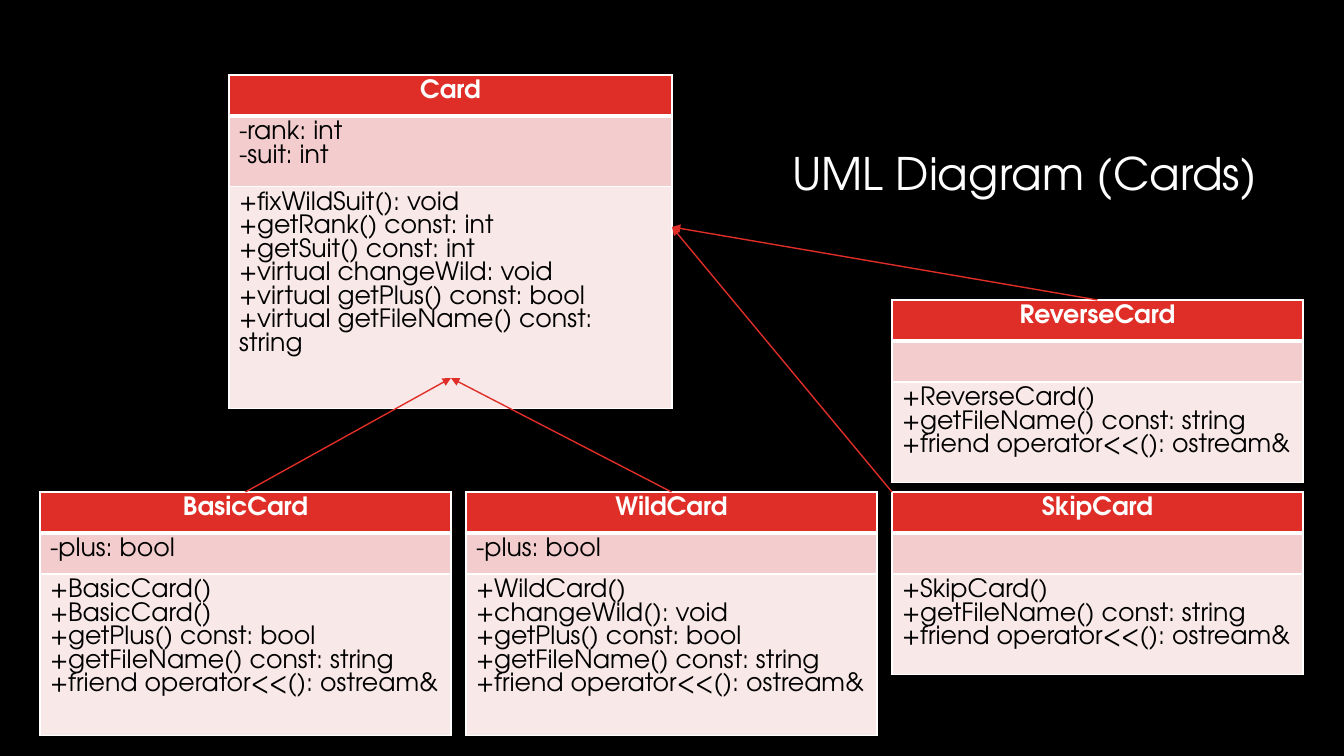
from lxml import etree
from pptx import Presentation
from pptx.dml.color import RGBColor
from pptx.enum.shapes import MSO_CONNECTOR
from pptx.enum.text import MSO_ANCHOR, MSO_AUTO_SIZE, PP_ALIGN
from pptx.oxml.ns import qn
from pptx.util import Pt

TITLE = "UML Diagram (Cards)"
FILE = "+getFileName() const: string"
PRINT = "+friend operator<<(): ostream&"
PLUS = "+getPlus() const: bool"

COL, STEP, LOW, WIDE = 40, 426, 492, 411
CARDS = {
    "Card": ((229, 75, 443), ["-rank: int", "-suit: int"],
             ["+fixWildSuit(): void", "+getRank() const: int",
              "+getSuit() const: int", "+virtual changeWild: void",
              "+virtual getPlus() const: bool",
              "+virtual getFileName() const: string"]),
    "BasicCard": ((COL, LOW, WIDE), ["-plus: bool"],
                  ["+BasicCard()", "+BasicCard()", PLUS, FILE, PRINT]),
    "WildCard": ((COL + STEP, LOW, WIDE), ["-plus: bool"],
                 ["+WildCard()", "+changeWild(): void", PLUS, FILE, PRINT]),
    "ReverseCard": ((COL + 2 * STEP, 300, WIDE), [],
                    ["+ReverseCard()", FILE, PRINT]),
    "SkipCard": ((COL + 2 * STEP, LOW, WIDE), [],
                 ["+SkipCard()", FILE, PRINT]),
}
BASE, SIDE = (451, 378), (672, 227)
LINKS = [("BasicCard", 0.5, BASE), ("WildCard", 0.5, BASE),
         ("SkipCard", 0, SIDE), ("ReverseCard", 0.5, SIDE)]

WIDTH, HEIGHT, ROW = 1344, 756, 41
SCALE = 12192000 / WIDTH
FONT = "TeX Gyre Adventor"
BLACK = RGBColor(0x00, 0x00, 0x00)
WHITE = RGBColor(0xFF, 0xFF, 0xFF)
RED = RGBColor(0xDF, 0x2E, 0x28)
ROSE = RGBColor(0xF3, 0xCD, 0xCD)
BLUSH = RGBColor(0xF9, 0xE8, 0xE8)
LEFT, CENTER = PP_ALIGN.LEFT, PP_ALIGN.CENTER
MIDDLE, GROW = MSO_ANCHOR.MIDDLE, MSO_AUTO_SIZE.SHAPE_TO_FIT_TEXT
STRAIGHT = MSO_CONNECTOR.STRAIGHT


def px(*nums):
    return [round(n * SCALE) for n in nums]


def write(frame, lines, size=18, color=BLACK, bold=False, align=LEFT):
    for i, line in enumerate(lines or [""]):
        para = frame.add_paragraph() if i else frame.paragraphs[0]
        para.alignment = align
        para.font.size = Pt(size)
        if line:
            run = para.add_run()
            run.text = line
            font = run.font
            font.name, font.size, font.bold = FONT, Pt(size), bold
            font.color.rgb = color


def edge(cell, top, base):
    props = cell._tc.get_or_add_tcPr()
    for side, width in (("L", 1), ("R", 1), ("T", top), ("B", base)):
        line = etree.SubElement(props, qn(f"a:ln{side}"), w=str(Pt(width)))
        fill = etree.SubElement(line, qn("a:solidFill"))
        etree.SubElement(fill, qn("a:srgbClr"), val=str(WHITE))


def draw_card(slide, name, spot, fields, calls):
    x, y, width = spot
    table = slide.shapes.add_table(3, 1, *px(x, y, width, 3 * ROW)).table
    head = {"color": WHITE, "bold": True, "align": CENTER}
    parts = [([name], RED, 1, 3, head), (fields, ROSE, 3, 1, {}),
             (calls, BLUSH, 1, 1, {})]
    for i, (lines, fill, top, base, style) in enumerate(parts):
        cell = table.cell(i, 0)
        edge(cell, top, base)
        cell.fill.solid()
        cell.fill.fore_color.rgb = fill
        write(cell.text_frame, lines, **style)


def draw_link(slide, name, part, end):
    x, y, width = CARDS[name][0]
    link = slide.shapes.add_connector(
        STRAIGHT, *px(x + width * part, y, *end))
    link.line.color.rgb = RED
    link.line.width = Pt(1)
    etree.SubElement(link.line._get_or_add_ln(), qn("a:tailEnd"),
                     type="triangle")
    etree.SubElement(link._element.spPr, qn("a:effectLst"))


def main():
    deck = Presentation()
    deck.slide_width, deck.slide_height = px(WIDTH, HEIGHT)
    slide = deck.slides.add_slide(deck.slide_layouts[5])
    slide.background.fill.solid()
    slide.background.fill.fore_color.rgb = BLACK

    title = slide.shapes.title
    title.left, title.top, title.width, title.height = px(782, 140, 515, 65)
    frame = title.text_frame
    frame.word_wrap = True
    frame.auto_size = GROW
    frame.vertical_anchor = MIDDLE
    write(frame, [TITLE], size=32, color=WHITE)

    for name, (spot, fields, calls) in CARDS.items():
        draw_card(slide, name, spot, fields, calls)
    for link in LINKS:
        draw_link(slide, *link)
    deck.save("out.pptx")


if __name__ == "__main__":
    main()
